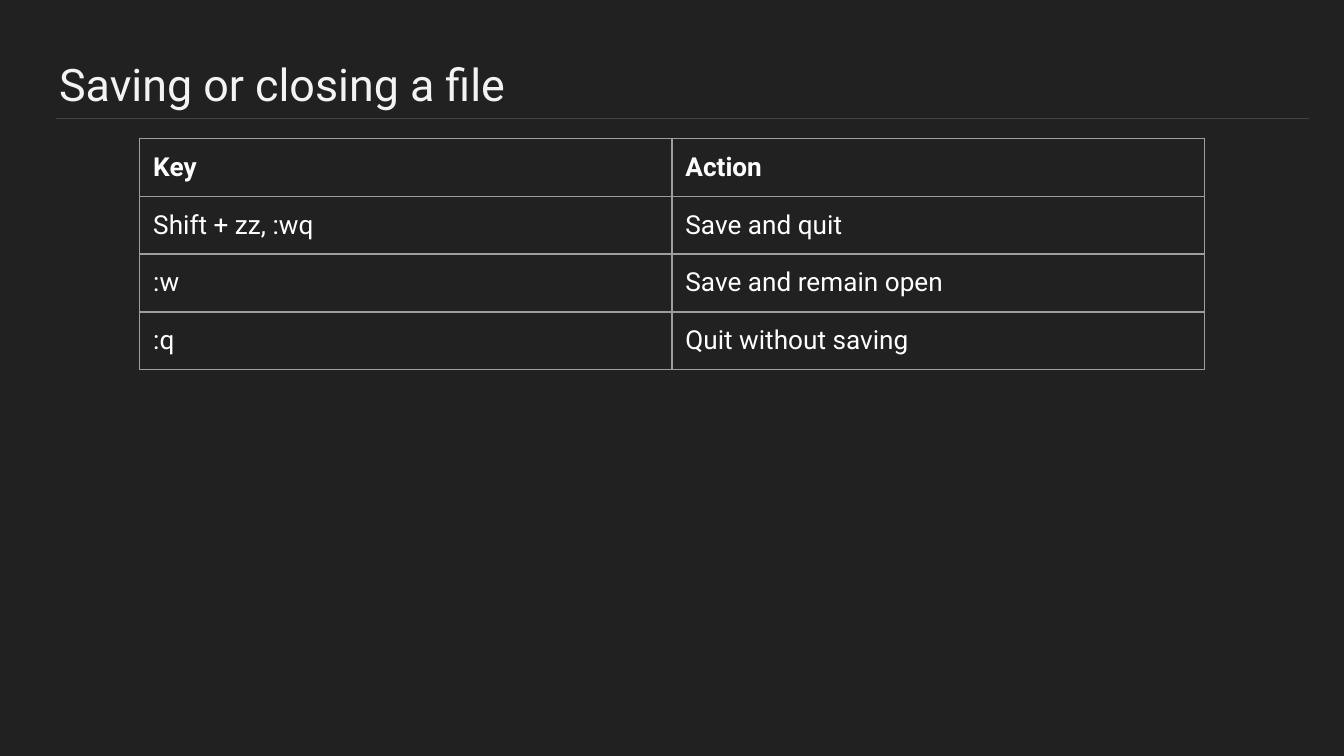
from lxml.etree import SubElement
from pptx import Presentation
from pptx.dml.color import RGBColor
from pptx.enum.shapes import MSO_CONNECTOR
from pptx.enum.text import MSO_ANCHOR, PP_ALIGN
from pptx.oxml.ns import qn
from pptx.util import Inches, Pt

BACKGROUND = RGBColor(0x21, 0x21, 0x21)
TITLE_COLOR = RGBColor(0xF3, 0xF3, 0xF3)
RULE_COLOR = RGBColor(0x43, 0x43, 0x43)
BORDER_COLOR = RGBColor(0x9E, 0x9E, 0x9E)
WHITE = RGBColor(0xFF, 0xFF, 0xFF)
FONT = "Roboto"
INSET = Inches(0.1)
LINE_WIDTH = Pt(0.75)
ROW_HEIGHT = Inches(0.43)

ROWS = [
    ("Key", "Action"),
    ("Shift + zz, :wq", "Save and quit"),
    (":w", "Save and remain open"),
    (":q", "Quit without saving"),
]


def add_text(frame, text, size, color, bold=False):
    para = frame.paragraphs[0]
    para.alignment = PP_ALIGN.LEFT
    span = para.add_run()
    span.text = text
    span.font.name = FONT
    span.font.size = Pt(size)
    span.font.bold = bold
    span.font.color.rgb = color


def add_borders(cell):
    properties = cell._tc.get_or_add_tcPr()
    for position, side in enumerate(("a:lnL", "a:lnR", "a:lnT", "a:lnB")):
        border = properties.makeelement(qn(side), {"w": str(LINE_WIDTH)})
        fill = SubElement(border, qn("a:solidFill"))
        SubElement(fill, qn("a:srgbClr"), val=str(BORDER_COLOR))
        properties.insert(position, border)


deck = Presentation()
deck.slide_width = Inches(10)
deck.slide_height = deck.slide_width * 9 // 16
page = deck.slides.add_slide(deck.slide_layouts[5])
page.background.fill.solid()
page.background.fill.fore_color.rgb = BACKGROUND

title = page.shapes.title
title.left, title.top = Inches(0.34), Inches(0.32)
title.width, title.height = Inches(9.32), Inches(0.63)
frame = title.text_frame
frame.word_wrap = True
frame.vertical_anchor = MSO_ANCHOR.TOP
frame.margin_left = frame.margin_right = INSET
frame.margin_top = frame.margin_bottom = INSET
add_text(frame, "Saving or closing a file", 24, TITLE_COLOR)

rule = page.shapes.add_connector(
    MSO_CONNECTOR.STRAIGHT, Inches(0.42), Inches(0.88), Inches(9.74), Inches(0.88)
)
rule.line.color.rgb = RULE_COLOR
rule.line.width = LINE_WIDTH
SubElement(rule._element.spPr, qn("a:effectLst"))

table = page.shapes.add_table(
    len(ROWS), 2, Inches(1.04), Inches(1.03), Inches(7.92), ROW_HEIGHT * len(ROWS)
).table
table.horz_banding = False
for row_index, texts in enumerate(ROWS):
    for column_index, text in enumerate(texts):
        cell = table.cell(row_index, column_index)
        cell.margin_left = cell.margin_right = INSET
        cell.margin_top = cell.margin_bottom = INSET
        cell.fill.background()
        add_borders(cell)
        add_text(cell.text_frame, text, 14, WHITE, bold=row_index == 0)

deck.save("out.pptx")
